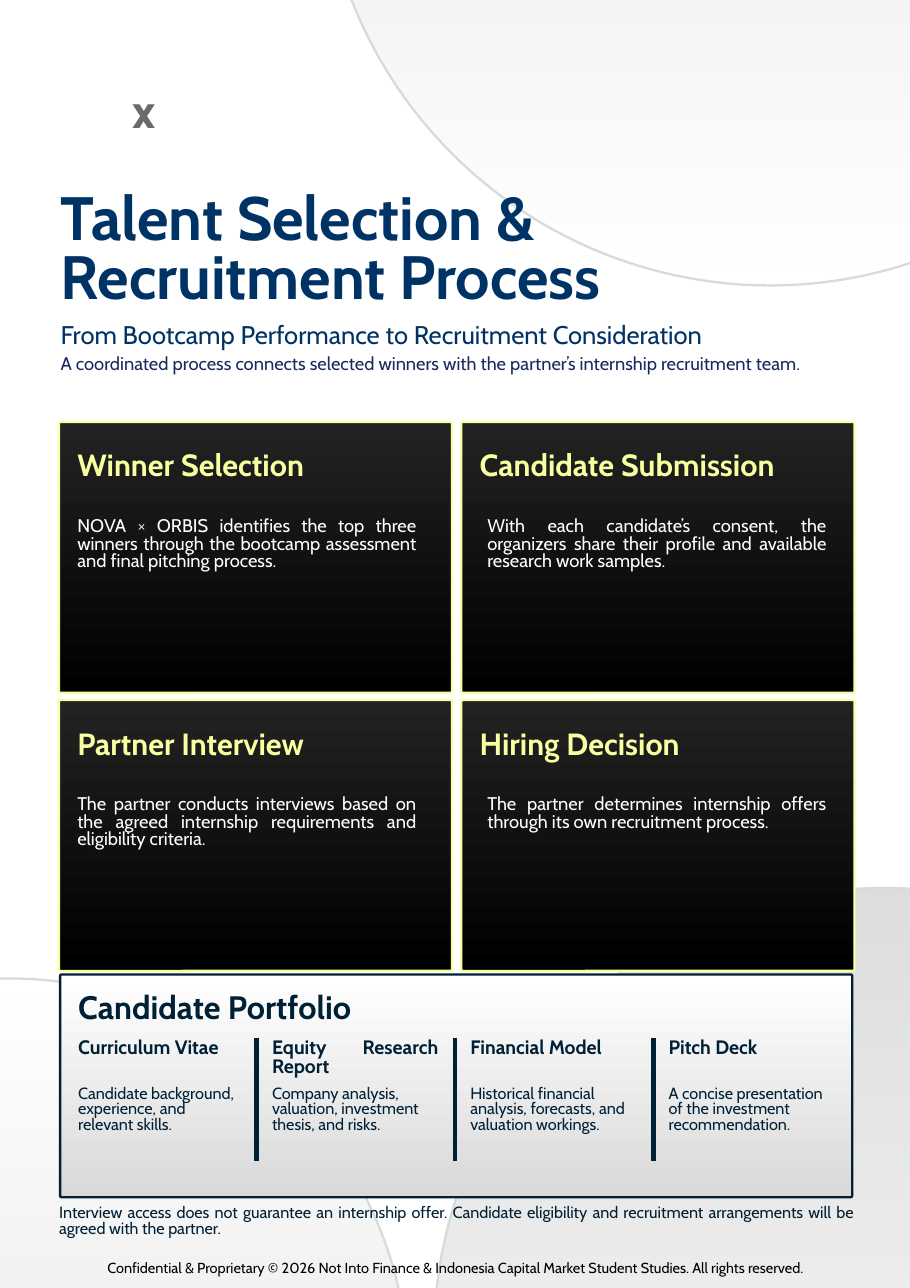
from pptx import Presentation
from pptx.dml.color import RGBColor
from pptx.enum.shapes import MSO_CONNECTOR, MSO_SHAPE
from pptx.enum.text import MSO_ANCHOR, MSO_AUTO_SIZE, PP_ALIGN
from pptx.oxml.ns import qn
from pptx.util import Pt
from lxml.etree import SubElement

COLORS = {
    "title": "003365", "intro": "1B2A5E", "navy": "002036", "cross": "6B6B6B",
    "black": "000000", "white": "FFFFFF", "lime": "F7FFA1", "charcoal": "222222",
    "silver": "D9D9D9", "ring": "D5DCDA", "shade": "000908", "clear": "001614",
}
LEFT, CENTER, JUSTIFY = PP_ALIGN.LEFT, PP_ALIGN.CENTER, PP_ALIGN.JUSTIFY

STEPS = [
    ("Winner Selection",
     "NOVA × ORBIS identifies the top three winners through the bootcamp assessment and final pitching process."),
    ("Candidate Submission",
     "With each candidate’s consent, the organizers share their profile and available research work samples."),
    ("Partner Interview",
     "The partner conducts interviews based on the agreed internship requirements and eligibility criteria."),
    ("Hiring Decision",
     "The partner determines internship offers through its own recruitment process."),
]
DOCUMENTS = [
    ("Curriculum Vitae", "Candidate background, experience, and relevant skills."),
    ("Equity Research Report", "Company analysis, valuation, investment thesis, and risks."),
    ("Financial Model", "Historical financial analysis, forecasts, and valuation workings."),
    ("Pitch Deck", "A concise presentation of the investment recommendation."),
]


def rgb(name):
    return RGBColor.from_string(COLORS[name])


class Page:
    """Holds the house style and the slide being drawn."""

    font = "Cabin"

    def __init__(self, slide):
        self.slide = slide

    def typeset(self, box, words, size, color, leading, align=LEFT, bold=False, spacing=None):
        frame = box.text_frame
        frame.margin_left = frame.margin_right = frame.margin_top = frame.margin_bottom = 0
        frame.word_wrap = True
        frame.auto_size = MSO_AUTO_SIZE.NONE
        frame.vertical_anchor = MSO_ANCHOR.TOP
        paragraph = frame.paragraphs[0]
        paragraph.alignment = align
        paragraph.line_spacing = Pt(leading)
        paragraph.space_before = Pt(0)
        run = paragraph.add_run()
        run.text = words
        run.font.name = self.font
        run.font.size = Pt(size)
        run.font.bold = bold
        run.font.color.rgb = rgb(color)
        if spacing:
            run._r.get_or_add_rPr().set("spc", str(int(spacing * 100)))

    def title(self, words, left, top, width, height, size, color, leading):
        heading = self.slide.shapes.title
        self.slide.shapes.element.append(heading.element)
        heading.left, heading.top = Pt(left), Pt(top)
        heading.width, heading.height = Pt(width), Pt(height)
        self.typeset(heading, words, size, color, leading, bold=True)

    def text(self, words, left, top, width, height, size, color, leading, **style):
        box = self.slide.shapes.add_textbox(Pt(left), Pt(top), Pt(width), Pt(height))
        self.typeset(box, words, size, color, leading, **style)

    def shape(self, kind, left, top, width, height, gradient, edge):
        panel = self.slide.shapes.add_shape(kind, Pt(left), Pt(top), Pt(width), Pt(height))
        panel.shadow.inherit = False
        panel.fill.gradient()
        panel.fill.gradient_angle = 270
        for stop, color in zip(panel.fill.gradient_stops, gradient):
            stop.color.rgb = rgb(color)
        panel.line.color.rgb = rgb(edge)
        panel.line.width = Pt(1.5)
        return panel

    def circle(self, left, top, size, opacities):
        tints = ["shade" if opacity else "clear" for opacity in opacities]
        disc = self.shape(MSO_SHAPE.OVAL, left, top, size, size, tints, "ring")
        for color, opacity in zip(disc.element.spPr.iter(qn("a:srgbClr")), opacities):
            SubElement(color, qn("a:alpha")).set("val", str(opacity * 1000))

    def panel(self, left, top, width, height, gradient, edge):
        card = self.shape(MSO_SHAPE.ROUNDED_RECTANGLE, left, top, width, height, gradient, edge)
        card.adjustments[0] = 1 / height

    def divider(self, left, top, bottom):
        rule = self.slide.shapes.add_connector(
            MSO_CONNECTOR.STRAIGHT, Pt(left), Pt(top), Pt(left), Pt(bottom))
        rule.line.color.rgb = rgb("navy")
        rule.line.width = Pt(3)
        SubElement(rule._element.spPr, qn("a:effectLst"))


def draw_header(page):
    page.title("Talent Selection & Recruitment Process", 39.6, 127.4, 496, 78, 40, "title", 38)
    page.text("x", 85, 61.9, 18, 30, 31, "cross", 28.5, align=CENTER, bold=True, spacing=-2.5)
    page.text("From Bootcamp Performance to Recruitment Consideration",
              39.6, 208.8, 518.4, 19.4, 16.7, "title", 20)
    page.text("A coordinated process connects selected winners with the partner’s internship recruitment team.",
              39.6, 230.4, 518.4, 29.5, 12, "intro", 14.4)


def draw_steps(page):
    for index, (step, detail) in enumerate(STEPS):
        row, column = divmod(index, 2)
        left, top = 38.5 + 263 * column, 275.8 + 181.7 * row
        page.panel(left, top, 257, 177, ("charcoal", "black"), "lime")
        page.text(step, left + 12, top + 20.9, 221.8, 20.9, 20, "lime", 19,
                  align=JUSTIFY, bold=True)
        page.text(detail, left + 12 + 5 * column, top + 63.4, 221.8, 35.3, 12, "white", 11.4,
                  align=JUSTIFY)


def draw_portfolio(page):
    page.panel(39.3, 636.8, 517.7, 145.6, ("white", "silver"), "navy")
    page.text("Candidate Portfolio", 51.1, 650.2, 235.4, 21.6, 21.2, "navy", 20.2,
              align=JUSTIFY, bold=True)
    for index, (document, detail) in enumerate(DOCUMENTS):
        rule = 38.2 + 129.6 * index
        left, width = (rule + 10, 108.7) if index else (51.1, 105.8)
        if index:
            page.divider(rule, 678.2, 758.9)
        page.text(document, left, 679.7, width, 25.9, 12.7, "navy", 12.1,
                  align=JUSTIFY, bold=True)
        page.text(detail, left, 710.6, width, 40.3, 10.6, "navy", 10.1)


def draw_footer(page):
    page.text("Interview access does not guarantee an internship offer. Candidate eligibility and "
              "recruitment arrangements will be agreed with the partner.",
              38.7, 788.4, 519.1, 20.2, 10.6, "navy", 10.1, align=JUSTIFY)
    page.text("Confidential & Proprietary © 2026 Not Into Finance & Indonesia Capital Market "
              "Student Studies. All rights reserved.",
              38.2, 820.8, 519.1, 13, 9.5, "black", 13.3, align=CENTER)


def main():
    deck = Presentation()
    deck.slide_width, deck.slide_height = Pt(594.72), Pt(841.68)
    page = Page(deck.slides.add_slide(deck.slide_layouts[5]))
    page.circle(209.5, -401, 587.5, (14, 0))
    page.circle(-254.9, 639.4, 522, (0, 14))
    page.circle(283.7, 580.3, 587.5, (14, 0))
    draw_header(page)
    draw_steps(page)
    draw_portfolio(page)
    draw_footer(page)
    deck.save("out.pptx")


if __name__ == "__main__":
    main()
